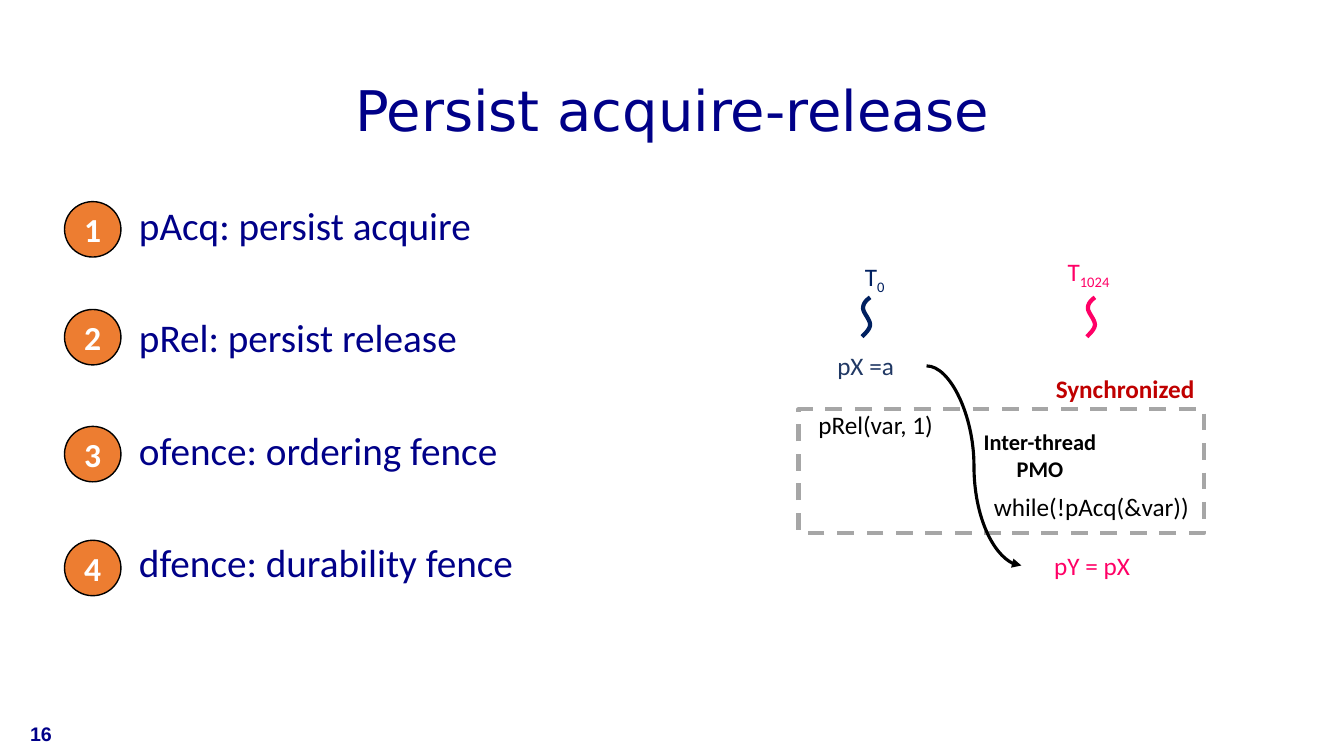
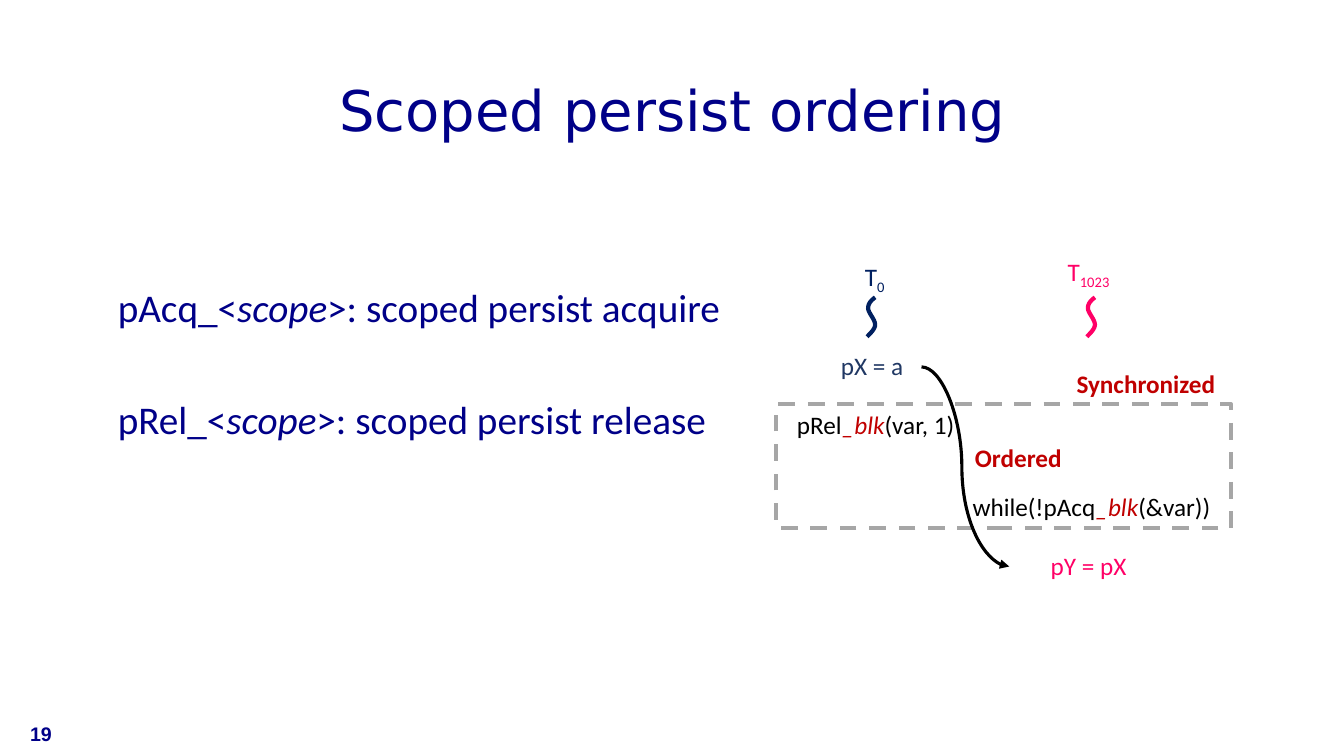
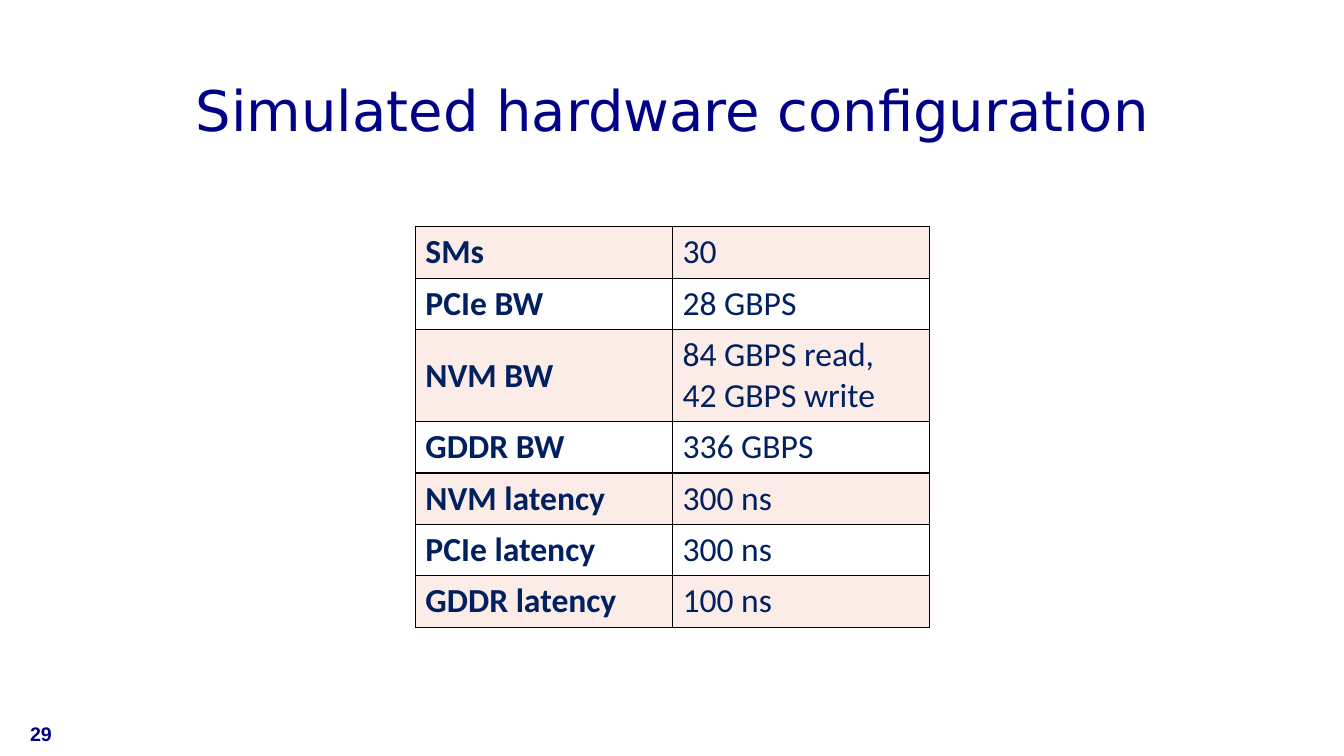
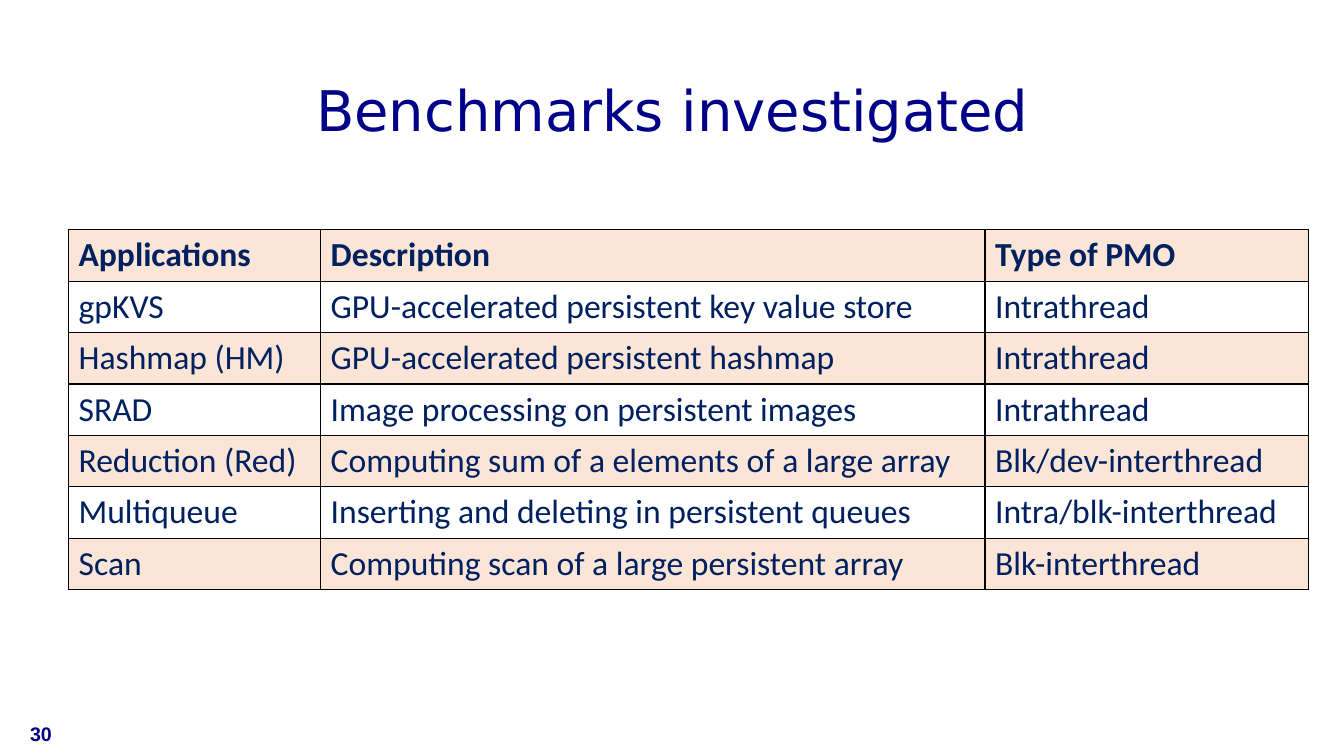
from lxml import etree
from pptx import Presentation
from pptx import util as u
from pptx.dml.color import RGBColor
from pptx.enum import dml, shapes, text
from pptx.oxml.ns import qn

NAVY = "000088"
INK = "002060"
SLATE = "203864"
PINK = "FF0066"
RED = "C00000"
ORANGE = "ED7D31"
GREY = "A6A6A6"
BLACK = "000000"
WHITE = "FFFFFF"
BODY_FONT = "Calibri"
CENTER = text.PP_ALIGN.CENTER
MIDDLE = text.MSO_ANCHOR.MIDDLE
TOP = text.MSO_ANCHOR.TOP


def color(value):
    return RGBColor.from_string(value)


def inches(*values):
    return [u.Inches(value) for value in values]


def write(frame, paragraphs, font=BODY_FONT, size=18, ink=BLACK, bold=False,
          align=None, anchor=TOP, wrap=True, line_spacing=None, gap=None):
    frame.word_wrap = wrap
    frame.auto_size = text.MSO_AUTO_SIZE.NONE
    frame.vertical_anchor = anchor
    if isinstance(paragraphs, str):
        paragraphs = [paragraphs]
    for index, content in enumerate(paragraphs):
        para = frame.add_paragraph() if index else frame.paragraphs[0]
        para.alignment = align
        para.line_spacing = line_spacing
        if index and gap:
            para.space_before = u.Pt(gap)
        spans = [(content, {})] if isinstance(content, str) else content
        for words, extra in spans:
            span = para.add_run()
            span.text = words
            span.font.name = font
            span.font.size = u.Pt(size)
            span.font.bold = bold
            span.font.italic = extra.get("italic", False)
            span.font.color.rgb = color(extra.get("ink", ink))
            if extra.get("subscript"):
                span._r.get_or_add_rPr().set("baseline", "-25000")


def bezier(start, first, second, end, steps=8):
    for step in range(1, steps + 1):
        t = step / steps
        weights = ((1 - t) ** 3, 3 * t * (1 - t) ** 2, 3 * t * t * (1 - t), t ** 3)
        points = (start, first, second, end)
        yield tuple(sum(w * point[axis] for w, point in zip(weights, points))
                    for axis in (0, 1))


class Deck:
    def __init__(self):
        self.file = Presentation()
        self.file.slide_width, self.file.slide_height = inches(13.33, 7.5)
        self.page = None

    def add_page(self, title, number):
        self.page = self.file.slides.add_slide(self.file.slide_layouts[5])
        box = self.page.shapes.title
        box.left, box.top, box.width, box.height = inches(0.92, 0.4, 11.5, 1.45)
        write(box.text_frame, title, font="DejaVu Sans", size=40, ink=NAVY,
              align=CENTER, anchor=MIDDLE, line_spacing=0.9)
        self.text(0.2, 7.08, 3, 0.4, str(number), font="Arial", size=14,
                  ink=NAVY, bold=True, anchor=MIDDLE)

    def text(self, left, top, width, height, words, **style):
        box = self.page.shapes.add_textbox(*inches(left, top, width, height))
        write(box.text_frame, words, **style)

    def label(self, left, top, width, words, **style):
        self.text(left, top, width, 0.4, words, align=CENTER, **style)

    def body(self, left, top, width, height, items):
        self.text(left, top, width, height, items, size=28, ink=NAVY,
                  line_spacing=0.9, gap=50)

    def shape(self, kind, left, top, width, height, fill=None, line=BLACK, weight=1):
        box = self.page.shapes.add_shape(kind, *inches(left, top, width, height))
        self.outline(box, line, weight)
        if fill:
            box.fill.solid()
            box.fill.fore_color.rgb = color(fill)
        return box

    def outline(self, box, line, weight):
        box.shadow.inherit = False
        box.fill.background()
        box.line.color.rgb = color(line)
        box.line.width = u.Pt(weight)

    def badge(self, top, number):
        circle = self.shape(shapes.MSO_SHAPE.OVAL, 0.64, top, 0.56, 0.55, fill=ORANGE)
        write(circle.text_frame, str(number), size=24, ink=WHITE, bold=True,
              align=CENTER, anchor=MIDDLE)

    def dashed_frame(self, left, top, width, height):
        frame = self.shape(shapes.MSO_SHAPE.RECTANGLE, left, top, width, height,
                           line=GREY, weight=3)
        frame.line.dash_style = dml.MSO_LINE.DASH

    def squiggle(self, left, top, ink):
        knots = [(0.08, 0), (0.04, 0.03), (0.01, 0.06), (0.01, 0.11), (0.01, 0.15),
                 (0.08, 0.22), (0.08, 0.27), (0.08, 0.31), (0.04, 0.35), (0, 0.39)]
        knots = [inches(left + x, top + y) for x, y in knots]
        builder = self.page.shapes.build_freeform(*knots[0])
        for index in (0, 3, 6):
            builder.add_line_segments(bezier(*knots[index:index + 4]), close=False)
        self.outline(builder.convert_to_shape(), ink, 3)

    def curved_arrow(self, start, end, bend):
        arrow = self.page.shapes.add_connector(
            shapes.MSO_CONNECTOR.CURVE, *inches(*start, *end))
        arrow.line.color.rgb = color(BLACK)
        arrow.line.width = u.Pt(2.25)
        properties = arrow._element.spPr
        etree.SubElement(properties.find(qn("a:ln")), qn("a:tailEnd"), type="triangle")
        etree.SubElement(properties, qn("a:effectLst"))
        geometry = properties.find(qn("a:prstGeom"))
        guides = geometry.find(qn("a:avLst"))
        if guides is None:
            guides = etree.SubElement(geometry, qn("a:avLst"))
        etree.SubElement(guides, qn("a:gd"), name="adj1",
                         fmla=f"val {round(bend * 100000)}")

    def table(self, left, top, widths, heights, rows, band, is_bold):
        grid = self.page.shapes.add_table(
            len(rows), len(widths),
            *inches(left, top, sum(widths), sum(heights))).table
        grid.first_row = grid.horz_banding = False
        for column, width in zip(grid.columns, widths):
            column.width = u.Inches(width)
        for r, (row, height) in enumerate(zip(rows, heights)):
            grid.rows[r].height = u.Inches(height)
            for c, words in enumerate(row):
                cell = grid.cell(r, c)
                write(cell.text_frame, words, size=24, ink=INK, bold=is_bold(r, c))
                cell.vertical_anchor = MIDDLE
                self.cell_borders(cell)
                cell.fill.solid()
                cell.fill.fore_color.rgb = color(WHITE if r % 2 else band)

    def cell_borders(self, cell):
        properties = cell._tc.get_or_add_tcPr()
        for side in ("lnL", "lnR", "lnT", "lnB"):
            line = etree.SubElement(properties, qn(f"a:{side}"), w=str(u.Pt(1)))
            fill = etree.SubElement(line, qn("a:solidFill"))
            etree.SubElement(fill, qn("a:srgbClr"), val=BLACK)

    def threads(self, first_squiggle, last_thread, release, acquire):
        self.squiggle(first_squiggle, 2.95, INK)
        self.squiggle(10.78, 2.95, PINK)
        for left, top, width, index, ink in ((8.48, 2.54, 0.41, "0", INK),
                                             (10.49, 2.49, 0.67, last_thread, PINK)):
            self.text(left, top, width, 0.4, [[("T", {}), (index, {"subscript": True})]],
                      ink=ink, wrap=False)
        self.label(7.7, 4.01, 1.97, [release])
        self.label(9.44, 4.83, 2.77, [acquire])


def persist_page(deck):
    deck.add_page("Persist acquire-release", 16)
    deck.body(1.28, 2, 6.35, 4.76, [
        "pAcq: persist acquire", "pRel: persist release",
        "ofence: ordering fence", "dfence: durability fence"])
    for number, top in enumerate((2, 3.07, 4.23, 5.36), 1):
        deck.badge(top, number)
    deck.threads(8.55, "1024", "pRel(var, 1)", "while(!pAcq(&var))")
    deck.label(10.13, 5.41, 1.46, "pY = pX ", ink=PINK)
    deck.label(7.99, 3.43, 1.19, "pX =a", ink=SLATE)
    deck.dashed_frame(7.92, 4.06, 4.02, 1.23)
    deck.label(10.36, 3.65, 1.6, "Synchronized", ink=RED, bold=True)
    deck.curved_arrow((9.19, 3.63), (10.13, 5.61), 0.5)
    deck.text(9.65, 4.2, 1.33, 0.64, ["Inter-thread", "PMO"], size=16, bold=True,
              align=CENTER, wrap=False)


def scoped_page(deck):
    scope = ("scope", {"italic": True})
    block = ("_blk", {"italic": True, "ink": RED})
    deck.add_page("Scoped persist ordering", 19)
    deck.body(1.07, 2.81, 6.47, 2.13, [
        [("pAcq_<", {}), scope, (">: scoped persist acquire", {})],
        [("pRel_<", {}), scope, (">: scoped persist release", {})]])
    deck.threads(8.6, "1023", [("pRel", {}), block, ("(var, 1)", {})],
                 [("while(!pAcq", {}), block, ("(&var))", {})])
    deck.label(10.01, 5.41, 1.63, "pY = pX ", ink=PINK)
    deck.label(8.15, 3.43, 1, "pX = a", ink=SLATE)
    deck.dashed_frame(7.7, 4.01, 4.51, 1.23)
    deck.label(10.52, 3.61, 1.69, "Synchronized", ink=RED, bold=True)
    deck.label(9.44, 4.34, 1.32, "Ordered", ink=RED, bold=True)
    deck.curved_arrow((9.14, 3.64), (10.01, 5.62), 0.46)


def hardware_page(deck):
    rows = [
        ("SMs", "30"),
        ("PCIe BW", "28 GBPS"),
        ("NVM BW", ["84 GBPS read,", "42 GBPS write"]),
        ("GDDR BW", "336 GBPS"),
        ("NVM latency", "300 ns"),
        ("PCIe latency", "300 ns"),
        ("GDDR latency", "100 ns"),
    ]
    heights = [0.51 if isinstance(value, str) else 0.91 for _, value in rows]
    deck.add_page("Simulated hardware configuration", 29)
    deck.table(4.12, 2.25, (2.55, 2.55), heights, rows, "FCECE8",
               lambda row, column: column == 0)


def benchmarks_page(deck):
    rows = [
        ("Applications", "Description", "Type of PMO"),
        ("gpKVS", "GPU-accelerated persistent key value store", "Intrathread"),
        ("Hashmap (HM)", "GPU-accelerated persistent hashmap", "Intrathread"),
        ("SRAD", "Image processing on persistent images", "Intrathread"),
        ("Reduction (Red)", "Computing sum of a elements of a large array",
         "Blk/dev-interthread"),
        ("Multiqueue", "Inserting and deleting in persistent queues",
         "Intra/blk-interthread"),
        ("Scan", "Computing scan of a large persistent array", "Blk-interthread"),
    ]
    deck.add_page("Benchmarks investigated", 30)
    deck.table(0.68, 2.28, (2.5, 6.59, 3.21), [0.51] * len(rows), rows, "FBE5D6",
               lambda row, column: row == 0)


def main():
    deck = Deck()
    for build in (persist_page, scoped_page, hardware_page, benchmarks_page):
        build(deck)
    deck.file.save("out.pptx")


if __name__ == "__main__":
    main()
